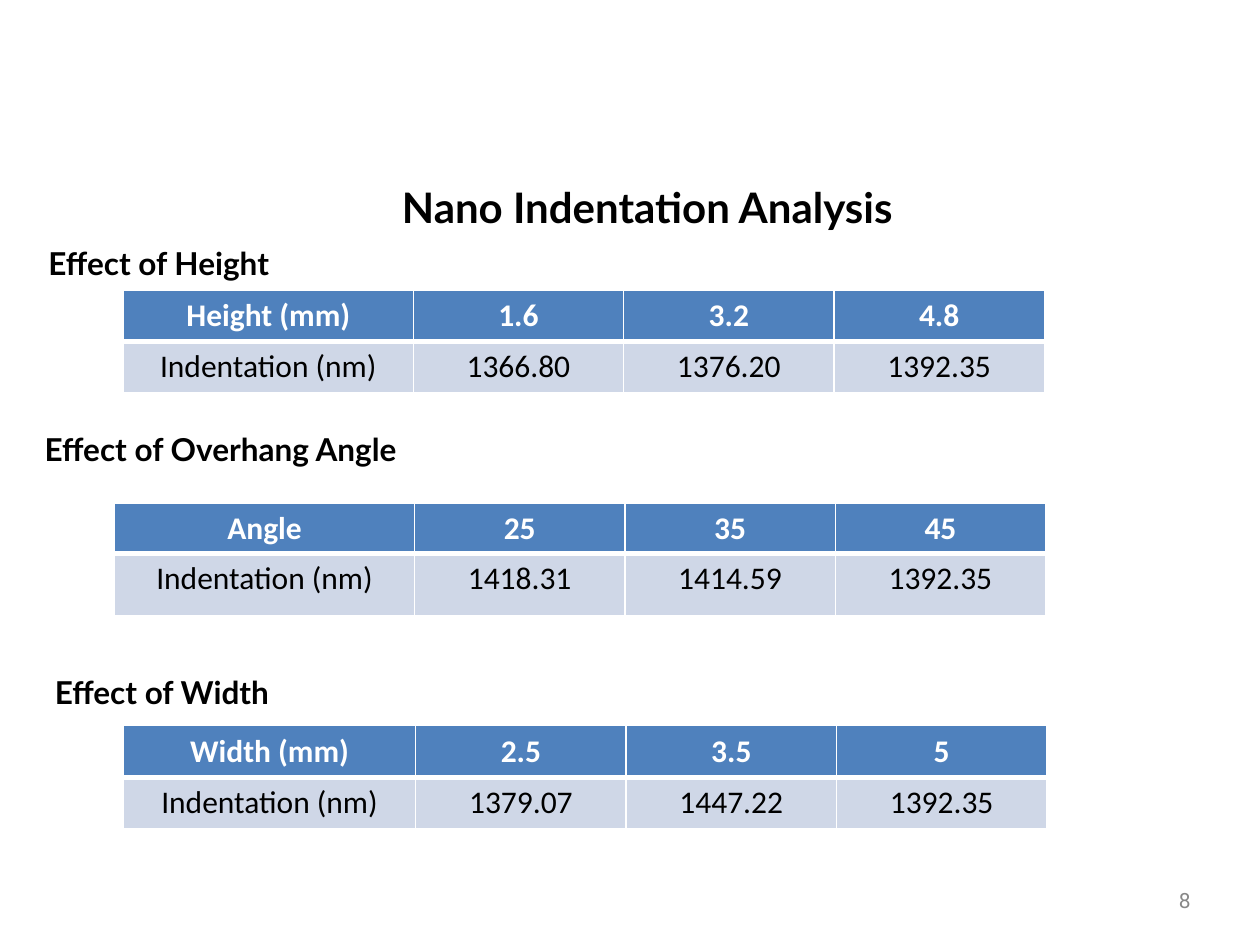
from lxml import etree
from pptx import Presentation
from pptx.dml.color import RGBColor
from pptx.enum import text as t
from pptx.oxml.ns import qn
from pptx.util import Inches, Pt

BLACK = RGBColor(0, 0, 0)
WHITE = RGBColor(255, 255, 255)
GREY = RGBColor(0x88, 0x88, 0x88)
BLUE = RGBColor(0x4F, 0x81, 0xBD)
PALE = RGBColor(0xCF, 0xD7, 0xE7)
PAD = Inches(0.05)
VALUE_W = 1.67

# heading, its box, table corner, first column, row heights, rows
EFFECTS = [
    ("Effect of Height", (0.11, 1.89, 2.3, 0.41), (0.98, 2.3), 2.3, (0.41, 0.41),
     [("Height (mm)", "1.6", "3.2", "4.8"),
      ("Indentation (nm)", "1366.80", "1376.20", "1392.35")]),
    ("Effect of Overhang Angle", (-0.06, 3.36, 3.62, 0.41), (0.91, 3.99), 2.38, (0.37, 0.5),
     [("Angle", "25", "35", "45"),
      ("Indentation (nm)", "1418.31", "1414.59", "1392.35")]),
    ("Effect of Width", (0.18, 5.29, 2.21, 0.41), (0.98, 5.76), 2.32, (0.41, 0.41),
     [("Width (mm)", "2.5", "3.5", "5"),
      ("Indentation (nm)", "1379.07", "1447.22", "1392.35")]),
]


def write(frame, words, size=18, font="Lato", color=BLACK, bold=True,
          align=t.PP_ALIGN.CENTER):
    para = frame.paragraphs[0]
    para.alignment = align
    run = para.add_run()
    run.text = words
    run.font.size = Pt(size)
    run.font.name = font
    run.font.bold = bold
    run.font.color.rgb = color


def fit(shape, box, anchor=t.MSO_ANCHOR.TOP):
    """Place a text shape that grows with its unwrapped text."""
    shape.left, shape.top, shape.width, shape.height = map(Inches, box)
    frame = shape.text_frame
    frame.margin_left = frame.margin_right = PAD
    frame.margin_top = frame.margin_bottom = PAD
    frame.vertical_anchor = anchor
    frame.word_wrap = False
    frame.auto_size = t.MSO_AUTO_SIZE.SHAPE_TO_FIT_TEXT
    return frame


def add_label(slide, words, box, anchor=t.MSO_ANCHOR.TOP, **style):
    shape = slide.shapes.add_textbox(0, 0, 0, 0)
    write(fit(shape, box, anchor), words, **style)


def edge(cell, **widths):
    """Draw white cell borders; sides L, R, T, B in points."""
    props = cell._tc.get_or_add_tcPr()
    for spot, (side, width) in enumerate(widths.items()):
        line = etree.Element(qn("a:ln" + side), w=str(Pt(width)))
        fill = etree.SubElement(line, qn("a:solidFill"))
        etree.SubElement(fill, qn("a:srgbClr"), val=str(WHITE))
        props.insert(spot, line)


def add_grid(slide, corner, first, heights, rows):
    widths = [first] + [VALUE_W] * (len(rows[0]) - 1)
    size = (sum(widths), sum(heights))
    table = slide.shapes.add_table(len(rows), len(widths),
                                   *map(Inches, corner + size)).table
    for col, width in zip(table.columns, widths):
        col.width = Inches(width)
    for r, (values, height) in enumerate(zip(rows, heights)):
        table.rows[r].height = Inches(height)
        head = r == 0
        for c, value in enumerate(values):
            cell = table.cell(r, c)
            cell.margin_left = cell.margin_right = PAD
            cell.margin_top = cell.margin_bottom = PAD
            cell.fill.solid()
            cell.fill.fore_color.rgb = BLUE if head else PALE
            edge(cell, L=1, R=1, T=1 if head else 3, B=3 if head else 1)
            write(cell.text_frame, value, font="Calibri", bold=head,
                  color=WHITE if head else BLACK)


def main():
    deck = Presentation()
    deck.slide_width, deck.slide_height = Inches(10), Inches(7.5)
    slide = deck.slides.add_slide(deck.slide_layouts[5])
    write(fit(slide.shapes.title, (3.14, 1.39, 5.09, 0.5)),
          "Nano Indentation Analysis", size=24, align=t.PP_ALIGN.LEFT)
    for heading, box, corner, first, heights, rows in EFFECTS:
        add_label(slide, heading, box)
        add_grid(slide, corner, first, heights, rows)
    add_label(slide, "8", (9.3, 7, 0.2, 0.29), anchor=t.MSO_ANCHOR.MIDDLE,
              size=12, font="Roboto", color=GREY, bold=False,
              align=t.PP_ALIGN.RIGHT)
    deck.save("out.pptx")


if __name__ == "__main__":
    main()
